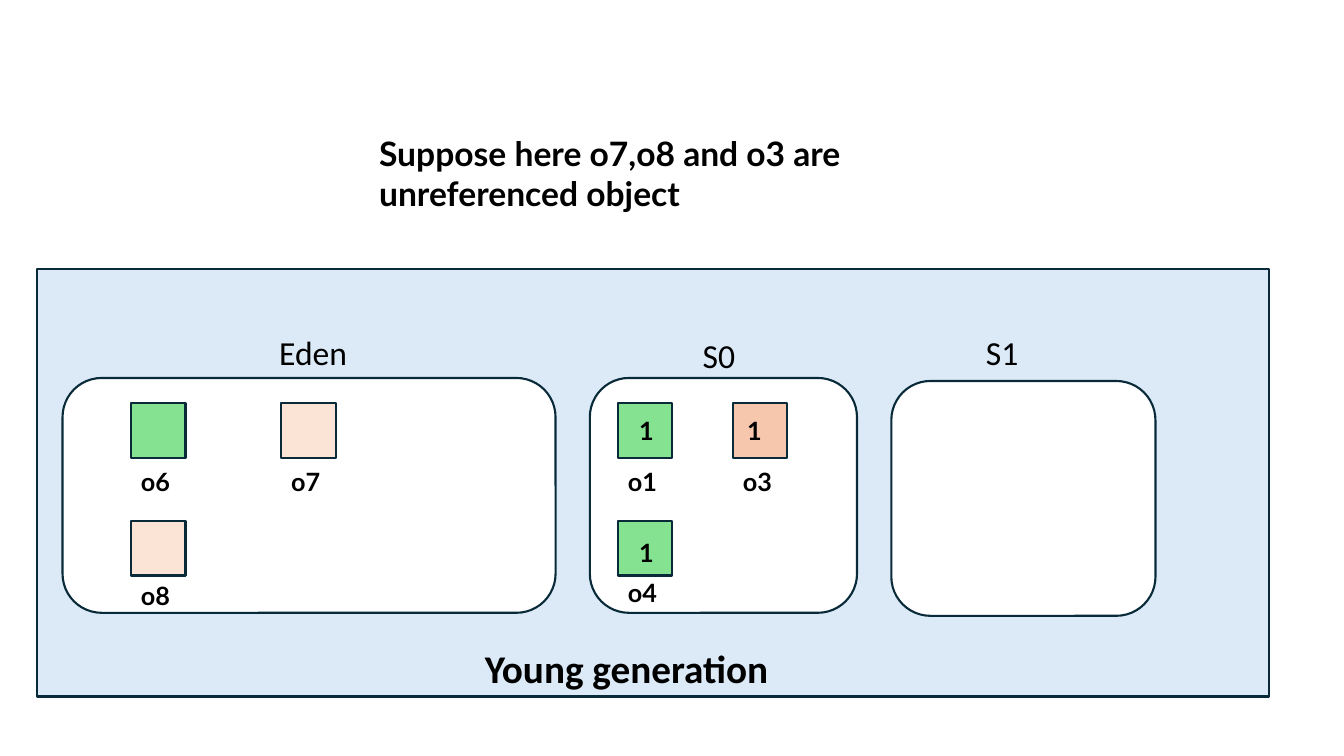
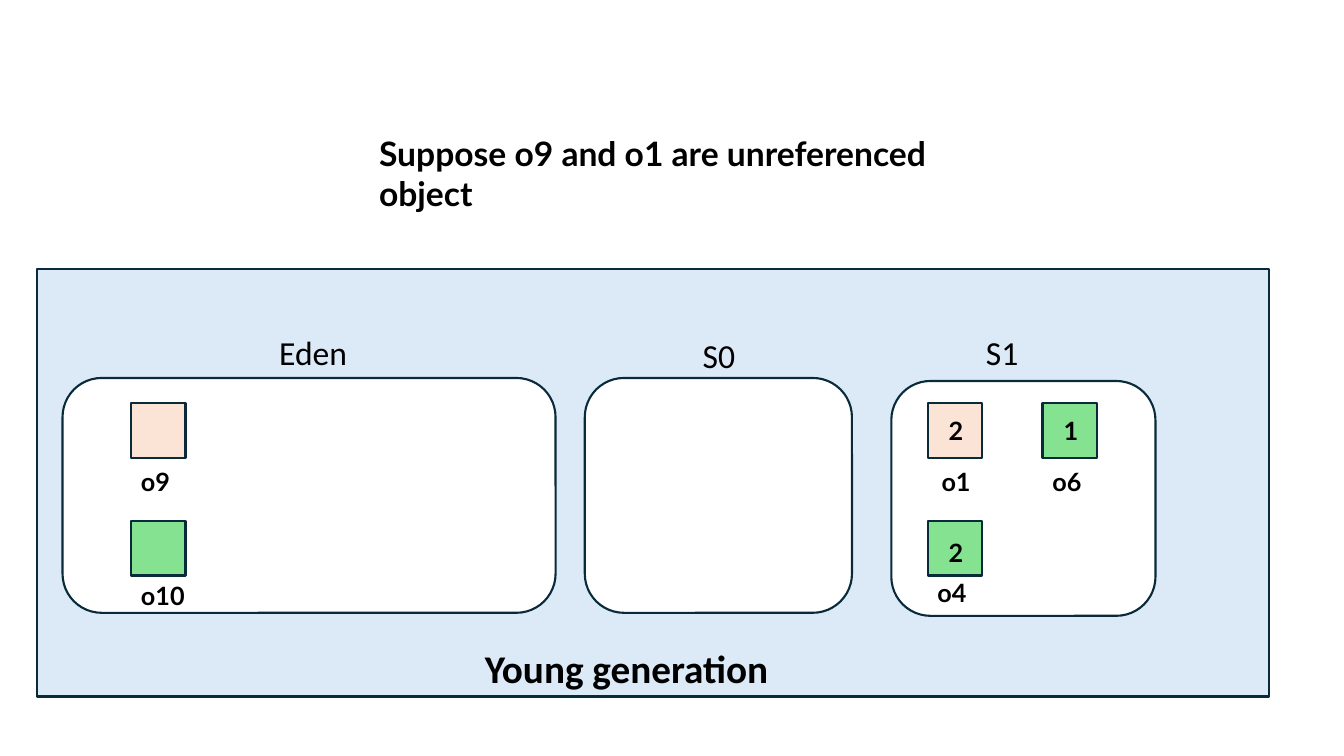
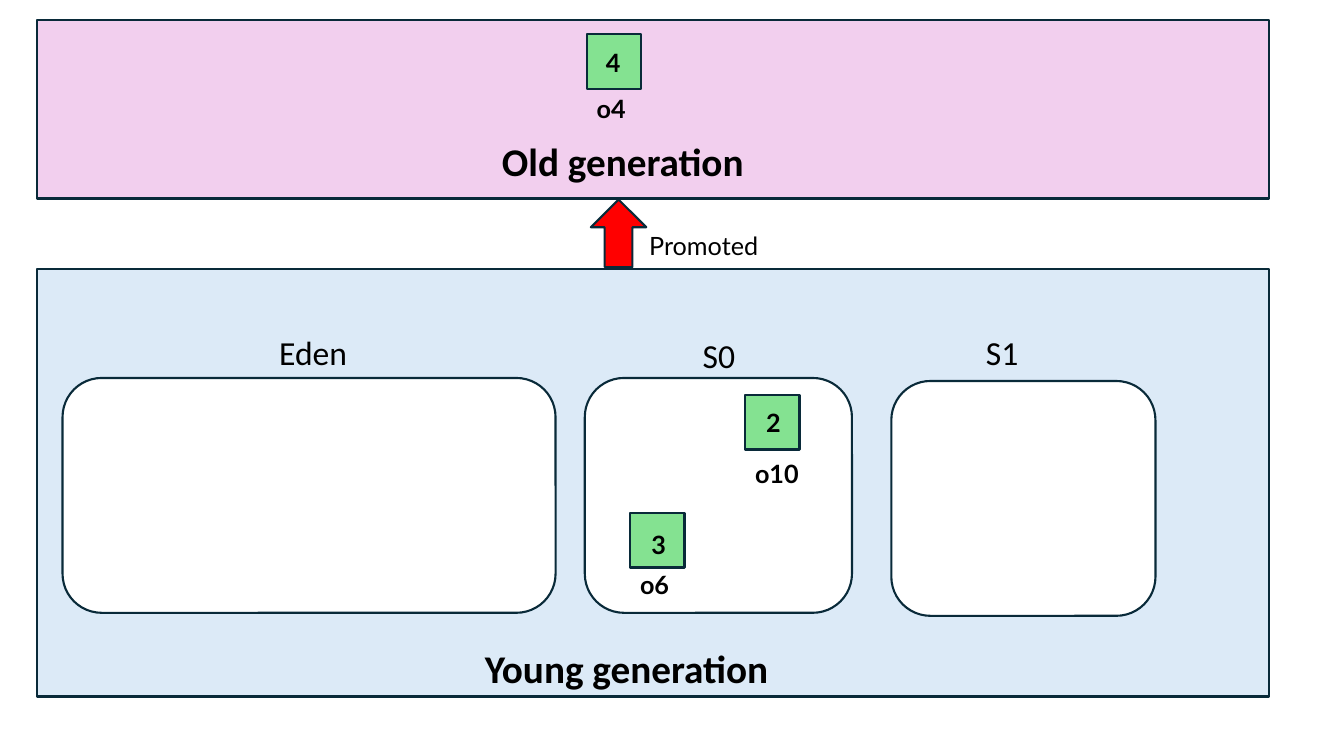
from dataclasses import dataclass
from typing import NamedTuple, Optional

from pptx import Presentation
from pptx.dml.color import RGBColor
from pptx.enum.shapes import MSO_SHAPE
from pptx.enum.text import MSO_ANCHOR, MSO_AUTO_SIZE, PP_ALIGN
from pptx.util import Inches, Pt


@dataclass(frozen=True)
class Theme:
    outline: str = "092A39"
    ink: str = "000000"
    young: str = "DCEAF7"
    old: str = "F2CFEE"
    space: str = "FFFFFF"
    live: str = "84E291"
    dead: str = "FBE3D6"
    dead_survivor: str = "F6C6AD"
    arrow: str = "FF0000"
    outline_width: float = 1.5
    heading_font: str = "Calibri"
    body_font: str = "Lato"
    generation_size: int = 28
    large_size: int = 24
    small_size: int = 18


THEME = Theme()
GENERATION = {"name": THEME.heading_font, "size": Pt(THEME.generation_size), "bold": True}
SPACE_NAME = {"name": THEME.heading_font, "size": Pt(THEME.large_size), "bold": False}
CAPTION = {"name": THEME.body_font, "size": Pt(THEME.large_size), "bold": True}
OBJECT = {"name": THEME.body_font, "size": Pt(THEME.small_size), "bold": True}
NOTE = {"name": THEME.body_font, "size": Pt(THEME.small_size), "bold": False}

TITLE_ONLY, BLANK = 5, 6
BAND_LEFT, BAND_WIDTH = 0.37, 12.22
SPACE_HEIGHT = 2.33
OBJECT_SIDE = 0.54
TOP_ROW, BOTTOM_ROW = 4.0, 5.17


class Area(NamedTuple):
    left: float
    top: float
    width: float
    height: float


class Offset(NamedTuple):
    x: float
    y: float


# Where a name sits below its square, and a collection count inside it
NAME_BELOW = Offset(0, 0.58)
NAME_CLOSE = Offset(0, 0.51)
NAME_MIDDLE = Offset(0, 0.54)
AGE_HIGH = Offset(0.11, 0.07)
AGE_LOW = Offset(0.11, 0.11)


@dataclass(frozen=True)
class HeapObject:
    name: str
    left: float
    top: float
    fill: str
    name_offset: Offset = NAME_BELOW
    age: str = ""
    age_offset: Offset = AGE_HIGH


@dataclass(frozen=True)
class HeapState:
    objects: tuple[HeapObject, ...]
    caption: Optional[str] = None
    s0_left: float = 5.8
    promoted: Optional[HeapObject] = None


STATES = (
    HeapState(
        caption="Suppose here o7,o8 and o3\u00a0are unreferenced object".replace("\u00a0", " "),
        s0_left=5.85,
        objects=(
            HeapObject("o1", 6.13, TOP_ROW, THEME.live, age="1"),
            HeapObject("o3", 7.27, TOP_ROW, THEME.dead_survivor, age="1",
                       age_offset=Offset(0.04, 0.07)),
            HeapObject("o4", 6.13, BOTTOM_ROW, THEME.live, NAME_CLOSE, "1", AGE_LOW),
            HeapObject("o6", 1.3, TOP_ROW, THEME.live),
            HeapObject("o7", 2.79, TOP_ROW, THEME.dead),
            HeapObject("o8", 1.3, BOTTOM_ROW, THEME.dead, NAME_MIDDLE),
        ),
    ),
    HeapState(
        caption="Suppose o9 and o1 are unreferenced object",
        objects=(
            HeapObject("o1", 9.2, TOP_ROW, THEME.dead, Offset(0.04, 0.58), "2"),
            HeapObject("o6", 10.34, TOP_ROW, THEME.live, age="1"),
            HeapObject("o4", 9.2, BOTTOM_ROW, THEME.live, NAME_CLOSE, "2", AGE_LOW),
            HeapObject("o9", 1.3, TOP_ROW, THEME.dead),
            HeapObject("o10", 1.3, BOTTOM_ROW, THEME.live, NAME_MIDDLE),
        ),
    ),
    HeapState(
        objects=(
            HeapObject("o10", 7.39, 3.92, THEME.live, age="2"),
            HeapObject("o6", 6.25, 5.09, THEME.live, NAME_CLOSE, "3", AGE_LOW),
        ),
        promoted=HeapObject("o4", 5.82, 0.34, THEME.live, NAME_MIDDLE, "4",
                            Offset(0.09, 0.08)),
    ),
)


def lengths(area: Area) -> list:
    return [Inches(value) for value in area]


def write(shape, text: str, style: dict) -> None:
    """Fill a shape with one left-aligned, top-anchored paragraph."""
    frame = shape.text_frame
    frame.word_wrap = True
    frame.auto_size = MSO_AUTO_SIZE.NONE
    frame.vertical_anchor = MSO_ANCHOR.TOP
    para = frame.paragraphs[0]
    para.alignment = PP_ALIGN.LEFT
    span = para.add_run()
    span.text = text
    for attribute, value in style.items():
        setattr(span.font, attribute, value)
    span.font.color.rgb = RGBColor.from_string(THEME.ink)


def add_text(slide, area: Area, text: str, style: dict) -> None:
    box = slide.shapes.add_textbox(*lengths(area))
    write(box, text, style)
    box.text_frame.margin_right = 0


def add_block(slide, kind: MSO_SHAPE, area: Area, fill: str):
    block = slide.shapes.add_shape(kind, *lengths(area))
    block.shadow.inherit = False
    block.fill.solid()
    block.fill.fore_color.rgb = RGBColor.from_string(fill)
    block.line.color.rgb = RGBColor.from_string(THEME.outline)
    block.line.width = Pt(THEME.outline_width)
    return block


def add_object(slide, item: HeapObject) -> None:
    area = Area(item.left, item.top, OBJECT_SIDE, OBJECT_SIDE)
    square = add_block(slide, MSO_SHAPE.RECTANGLE, area, item.fill)
    if item.age:
        write(square, item.age, OBJECT)
        frame = square.text_frame
        frame.margin_left = Inches(item.age_offset.x + 0.1)
        frame.margin_top = Inches(item.age_offset.y + 0.05)
        frame.margin_right = frame.margin_bottom = 0
    name_area = Area(item.left + item.name_offset.x, item.top + item.name_offset.y, 0.64, 0.4)
    add_text(slide, name_area, item.name, OBJECT)


def add_young_generation(slide, state: HeapState) -> None:
    add_block(slide, MSO_SHAPE.RECTANGLE, Area(BAND_LEFT, 2.67, BAND_WIDTH, 4.24), THEME.young)
    spaces = (
        ("Eden", Area(0.62, 3.75, 4.89, SPACE_HEIGHT), Offset(2.67, 3.24)),
        ("S0", Area(state.s0_left, 3.75, 2.65, SPACE_HEIGHT), Offset(6.87, 3.27)),
        ("S1", Area(8.84, 3.78, 2.62, SPACE_HEIGHT), Offset(9.68, 3.24)),
    )
    for name, area, name_at in spaces:
        add_block(slide, MSO_SHAPE.ROUNDED_RECTANGLE, area, THEME.space)
        add_text(slide, Area(*name_at, 1.35, 0.5), name, SPACE_NAME)
    add_text(slide, Area(4.71, 6.34, 3.39, 0.57), "Young generation", GENERATION)
    for item in state.objects:
        add_object(slide, item)


def add_old_generation(slide, promoted: HeapObject) -> None:
    add_block(slide, MSO_SHAPE.RECTANGLE, Area(BAND_LEFT, 0.2, BAND_WIDTH, 1.77), THEME.old)
    add_object(slide, promoted)
    add_text(slide, Area(4.88, 1.31, 3.39, 0.57), "Old generation", GENERATION)
    add_block(slide, MSO_SHAPE.UP_ARROW, Area(5.86, 1.98, 0.55, 0.67), THEME.arrow)
    add_text(slide, Area(6.34, 2.24, 3, 0.4), "Promoted", NOTE)


def add_caption(slide, text: str) -> None:
    title = slide.shapes.title
    title.left, title.top, title.width, title.height = lengths(Area(3.66, 1.27, 5.67, 1.21))
    write(title, text, CAPTION)


def main() -> None:
    deck = Presentation()
    deck.slide_width, deck.slide_height = Inches(13.33), Inches(7.5)
    for state in STATES:
        layout = deck.slide_layouts[TITLE_ONLY if state.caption else BLANK]
        page = deck.slides.add_slide(layout)
        if state.caption:
            add_caption(page, state.caption)
        add_young_generation(page, state)
        if state.promoted:
            add_old_generation(page, state.promoted)
    deck.save("out.pptx")


if __name__ == "__main__":
    main()
